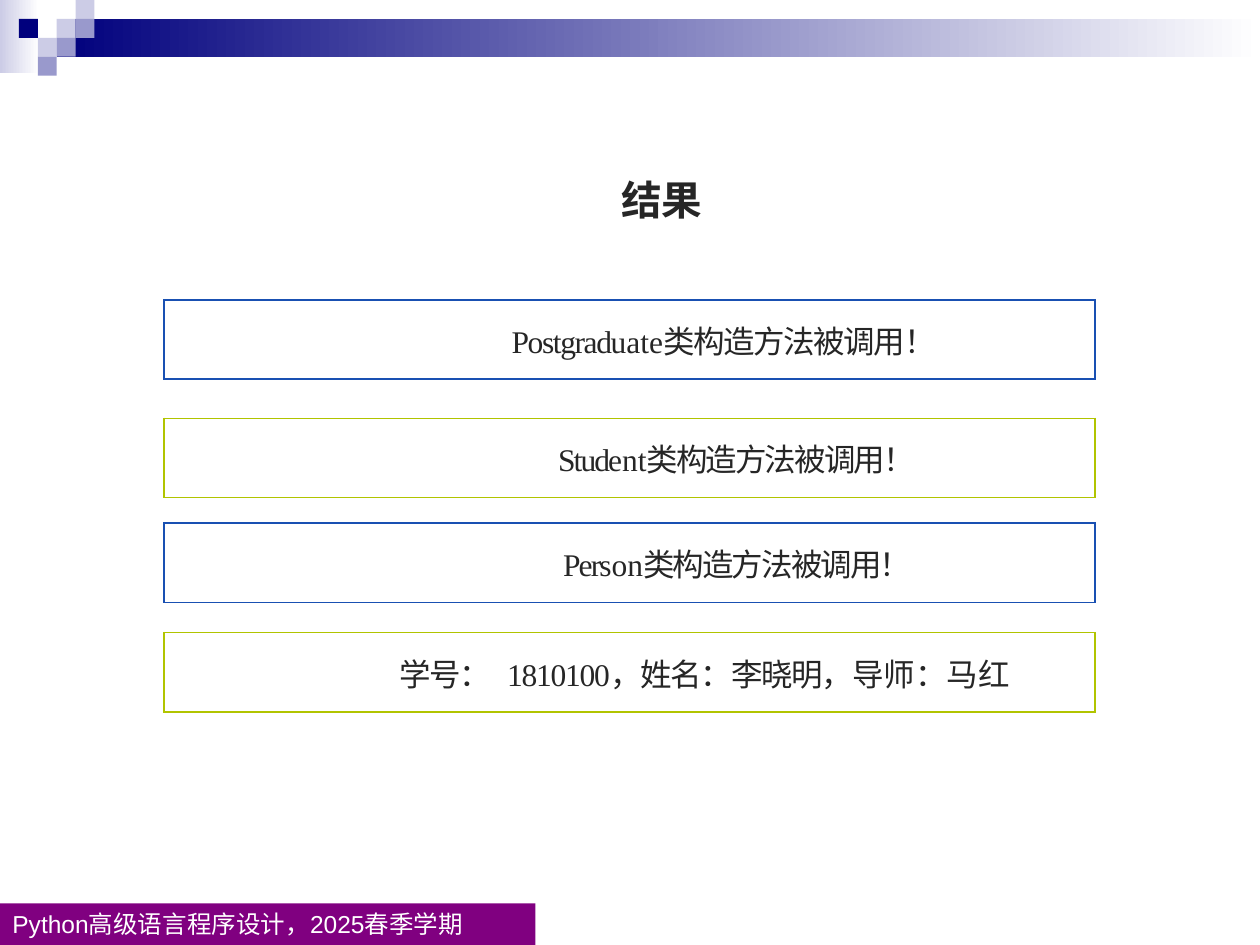
from lxml.etree import SubElement
from pptx import Presentation
from pptx.dml.color import RGBColor
from pptx.enum.shapes import MSO_SHAPE
from pptx.enum.text import MSO_ANCHOR
from pptx.oxml import parse_xml
from pptx.oxml.ns import nsdecls, qn
from pptx.util import Inches, Pt

NAVY, LILAC, LAVENDER, WHITE = "00007D", "9999CC", "CCCCE6", "FFFFFF"
PURPLE, BLUE, LIME, INK = "800080", "1950B2", "B1C400", "262626"
LATIN, HAN = "Times New Roman", "Noto Sans CJK SC"
CALLED = ("类构造方法被调用！", HAN)
SQUARES = [(3, 1, LAVENDER), (4, 0, LAVENDER), (4, 1, LILAC), (2, 2, LAVENDER),
           (1, 1, NAVY), (3, 2, LILAC), (2, 3, LILAC)]
OUTPUT_LINES = [
    (2.38, BLUE, 2.76, [("Postgradu", LATIN, -0.8), ("a", LATIN, -0.6),
                        ("te", LATIN, 0), (*CALLED, -0.8)]),
    (3.32, LIME, 3.13, [("Stude", LATIN, -1.1), ("n", LATIN, -0.8),
                        ("t", LATIN, 0), (*CALLED, -1.1)]),
    (4.15, BLUE, 3.17, [("Pers", LATIN, -1.1), ("o", LATIN, -0.8),
                        ("n", LATIN, 0), (*CALLED, -1.1)]),
    (5.02, LIME, 1.87, [("学号：", HAN, -0.7), (" ", HAN, 5), ("1810100", LATIN, -0.7),
                        ("，姓名：李晓明，导", HAN, -0.7), ("师", HAN, -0.4),
                        ("：马红", HAN, 0)]),
]


def rgb(value):
    return RGBColor.from_string(value)


class SlideBuilder:
    """Draws styled elements on the current slide."""

    def __init__(self, slide):
        self.slide = slide

    def rectangle(self, left, top, width, height, *colors):
        bar = self.slide.shapes.add_shape(
            MSO_SHAPE.RECTANGLE, Inches(left), Inches(top), Inches(width), Inches(height))
        bar.shadow.inherit = False
        bar.line.fill.background()
        if len(colors) == 1:
            bar.fill.solid()
            bar.fill.fore_color.rgb = rgb(colors[0])
        else:
            bar.fill.gradient()
            bar.fill.gradient_angle = 0
            for stop, color in zip(bar.fill.gradient_stops, colors):
                stop.color.rgb = rgb(color)

    def add_runs(self, paragraph, runs, size, color, bold=False):
        paragraph.font.size = Pt(size)
        paragraph.font.color.rgb = rgb(color)
        paragraph.font.bold = bold
        for words, font, spacing in runs:
            run = paragraph.add_run()
            run.text = words
            run.font.name = font
            properties = run._r.get_or_add_rPr()
            properties.set("spc", str(round(spacing * 100)))
            SubElement(properties, qn("a:ea")).set("typeface", HAN)

    def label(self, left, top, width, height, inset, words, font, size, color, bold=False):
        box = self.slide.shapes.add_textbox(
            Inches(left), Inches(top), Inches(width), Inches(height))
        frame = box.text_frame
        frame.word_wrap = True
        frame.vertical_anchor = MSO_ANCHOR.MIDDLE
        frame.margin_left = Inches(inset)
        frame.margin_right = frame.margin_top = frame.margin_bottom = 0
        self.add_runs(frame.paragraphs[0], [(words, font, 0)], size, color, bold)

    def output_line(self, top, color, indent, runs):
        table = self.slide.shapes.add_table(
            1, 1, Inches(1.3), Inches(top), Inches(7.39), Inches(0.63)).table
        table.first_row = table.horz_banding = False
        cell = table.cell(0, 0)
        cell.fill.background()
        cell.margin_left = Inches(indent)
        cell.margin_right = cell.margin_top = cell.margin_bottom = 0
        cell.vertical_anchor = MSO_ANCHOR.MIDDLE
        for index, side in enumerate(("lnL", "lnR", "lnT", "lnB")):
            border = parse_xml(
                f'<a:{side} {nsdecls("a")} w="{int(Pt(1))}"><a:solidFill>'
                f'<a:srgbClr val="{color}"/></a:solidFill></a:{side}>')
            cell._tc.tcPr.insert(index, border)
        self.add_runs(cell.text_frame.paragraphs[0], runs, 18, INK)


def main():
    presentation = Presentation()
    presentation.slide_width, presentation.slide_height = Inches(10), Inches(7.5)
    builder = SlideBuilder(presentation.slides.add_slide(presentation.slide_layouts[6]))

    builder.rectangle(0, 0, 0.31, 0.58, LAVENDER, WHITE)
    builder.rectangle(0.45, 0.15, 9.55, 0.3, NAVY, WHITE)
    square = 0.15
    for column, row, color in SQUARES:
        builder.rectangle(column * square, row * square, square, square, color)

    footer = (0, 7.17, 4.25, 0.33)
    builder.rectangle(*footer, PURPLE)
    builder.label(*footer, 0.1, "Python高级语言程序设计，2025春季学期", "Arial", 14, WHITE)
    builder.label(4.92, 1.39, 1.47, 0.39, 0.01, "结果", LATIN, 23.2, INK, True)
    for line in OUTPUT_LINES:
        builder.output_line(*line)

    presentation.save("out.pptx")


if __name__ == "__main__":
    main()
